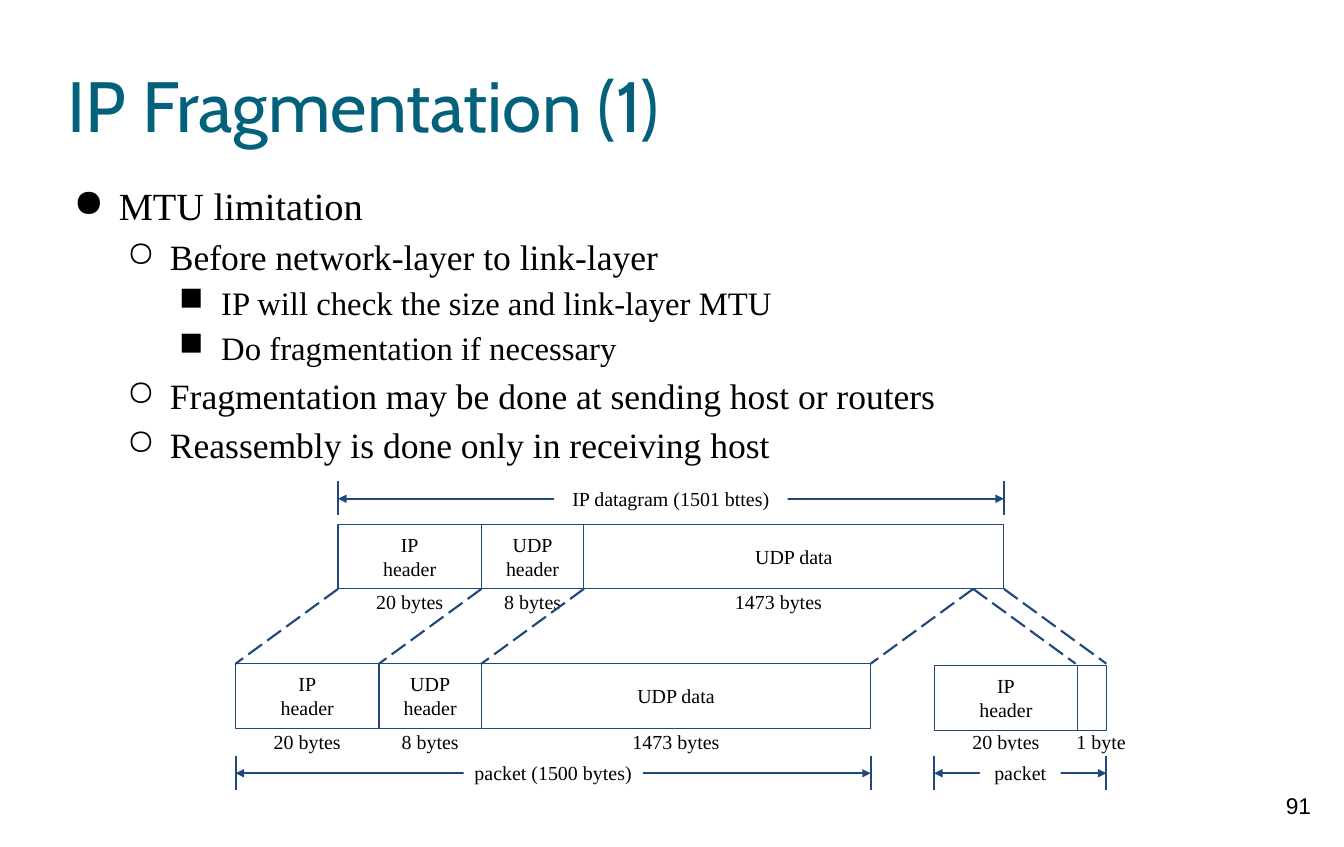
import pptx
import pptx.util
import pptx.dml.color
import pptx.enum.dml
import pptx.enum.shapes
import pptx.enum.text
import pptx.oxml.ns
import lxml.etree

SERIF = "Times New Roman"
BLACK, WHITE, BLUE, TEAL = "000000", "FFFFFF", "1F497D", "04617B"
ALIGN = pptx.enum.text.PP_ALIGN
ANCHOR = pptx.enum.text.MSO_ANCHOR

# level: (bullet, size, left indent, hanging indent)
LEVELS = [("●", 27, 5, 4.4), ("○", 25, 10, 4.2), ("■", 23, 15, 4.1)]
BULLETS = [
    (0, "MTU limitation"),
    (1, "Before network-layer to link-layer"),
    (2, "IP will check the size and link-layer MTU"),
    (2, "Do fragmentation if necessary"),
    (1, "Fragmentation may be done at sending host or routers"),
    (1, "Reassembly is done only in receiving host"),
]
IP = ("IP\nheader", "20 bytes", 14, 0)
UDP = ("UDP\nheader", "8 bytes", 10, 0)


def grid(n):
    """Length of n grid cells, ten to the inch."""
    return pptx.util.Inches(n / 10)


def rgb(value):
    return pptx.dml.color.RGBColor.from_string(value)


def add_xml(parent, tag, **attrs):
    el = lxml.etree.SubElement(parent, pptx.oxml.ns.qn(tag))
    for name, value in attrs.items():
        el.set(name, value)
    return el


class Deck:
    def __init__(self, width, height):
        self.prs = pptx.Presentation()
        self.prs.slide_width, self.prs.slide_height = grid(width), grid(height)
        self.slide = self.prs.slides.add_slide(self.prs.slide_layouts[5])

    def frame(self, sp, inset=1, anchor=ANCHOR.TOP):
        tf = sp.text_frame
        tf.word_wrap = True
        tf.auto_size = pptx.enum.text.MSO_AUTO_SIZE.NONE
        tf.vertical_anchor = anchor
        tf.margin_left = tf.margin_right = grid(inset)
        tf.margin_top = tf.margin_bottom = grid(inset)
        return tf

    def style_text(self, p, text, size, font=SERIF, color=BLACK, align=ALIGN.CENTER):
        p.text = text
        p.alignment = align
        p.font.size = pptx.util.Pt(size)
        p.font.name = font
        p.font.color.rgb = rgb(color)

    def title(self, text, x, y, w, h):
        sp = self.slide.shapes.title
        sp.left, sp.top, sp.width, sp.height = map(grid, (x, y, w, h))
        tf = self.frame(sp, 0, ANCHOR.MIDDLE)
        self.style_text(tf.paragraphs[0], text, 50, "Cabin", TEAL, ALIGN.LEFT)

    def text(self, text, x, y, w, h, size=14, font=SERIF):
        sp = self.slide.shapes.add_textbox(*map(grid, (x, y, w, h)))
        self.style_text(self.frame(sp).paragraphs[0], text, size, font)
        return sp

    def bullets(self, items, x, y, w, h):
        sp = self.slide.shapes.add_textbox(*map(grid, (x, y, w, h)))
        tf = self.frame(sp, 0)
        for i, (level, text) in enumerate(items):
            p = tf.add_paragraph() if i else tf.paragraphs[0]
            char, size, left, hang = LEVELS[level]
            p.level = level
            p.line_spacing = 1.15
            pPr = p._p.get_or_add_pPr()
            pPr.set("marL", str(grid(left)))
            pPr.set("indent", str(-grid(hang)))
            add_xml(add_xml(pPr, "a:buClr"), "a:srgbClr", val=BLACK)
            add_xml(pPr, "a:buChar", char=char)
            self.style_text(p, text, size, align=ALIGN.LEFT)

    def box(self, text, x, y, w, h):
        kind = pptx.enum.shapes.MSO_SHAPE.RECTANGLE
        sp = self.slide.shapes.add_shape(kind, *map(grid, (x, y, w, h)))
        sp.shadow.inherit = False
        sp.fill.background()
        sp.line.color.rgb = rgb(BLUE)
        sp.line.width = pptx.util.Pt(0.75)
        if text:
            tf = self.frame(sp, anchor=ANCHOR.MIDDLE)
            self.style_text(tf.paragraphs[0], text, 14)

    def line(self, x1, y1, x2, y2, dashed=False, arrows=False):
        kind = pptx.enum.shapes.MSO_CONNECTOR.STRAIGHT
        cx = self.slide.shapes.add_connector(kind, *map(grid, (x1, y1, x2, y2)))
        cx.line.color.rgb = rgb(BLUE)
        cx.line.width = pptx.util.Pt(1.5)
        if dashed:
            cx.line.dash_style = pptx.enum.dml.MSO_LINE.LONG_DASH
        spPr = cx._element.spPr
        if arrows:
            for tag in ("a:headEnd", "a:tailEnd"):
                add_xml(spPr.find(pptx.oxml.ns.qn("a:ln")), tag, type="triangle")
        add_xml(spPr, "a:effectLst")

    def packet(self, x, y, label_y, fields):
        """Row of adjoining fields (name, size, width, label shift)."""
        for name, size, w, shift in fields:
            self.box(name, x, y, w, 6.3)
            self.text(size, x + w / 2 + shift - 6, label_y, 12, 4.4)
            x += w

    def dimension(self, text, x1, x2, y, label_w):
        """Double arrow between two ticks, broken by a label on white."""
        for x in (x1, x2):
            self.line(x, y, x, y + 3.3)
        self.line(x1, y + 1.7, x2, y + 1.7, arrows=True)
        sp = self.text(text, (x1 + x2 - label_w) / 2, y - 0.5, label_w, 4.4)
        sp.fill.solid()
        sp.fill.fore_color.rgb = rgb(WHITE)


def main():
    deck = Deck(131.2, 82.7)
    deck.title("IP Fragmentation (1)", 6.6, 3.3, 118.1, 13.8)
    deck.bullets(BULLETS, 6.6, 17.1, 118.4, 28)

    deck.packet(33, 51.2, 56.6, [IP, UDP, ("UDP data", "1473 bytes", 41, -1.5)])
    deck.dimension("IP datagram (1501 bttes)", 33, 98, 47, 22.8)

    deck.packet(23, 64.8, 70.2, [IP, UDP, ("UDP data", "1473 bytes", 38, 0)])
    deck.dimension("packet (1500 bytes)", 23, 85, 73.8, 17.5)

    deck.packet(91.2, 65, 70.2, [IP, ("", "1 byte", 2.8, 0.9)])
    deck.dimension("packet", 91.2, 108, 73.8, 7.9)

    for x, shift in ((33, -10), (47, -10), (57, -10), (95, -10), (95, 10), (98, 10)):
        deck.line(x, 57.5, x + shift, 64.8, dashed=True)

    deck.text("91", 122.8, 76.3, 7.9, 6.3, 16, "Arial")
    deck.prs.save("out.pptx")


if __name__ == "__main__":
    main()
